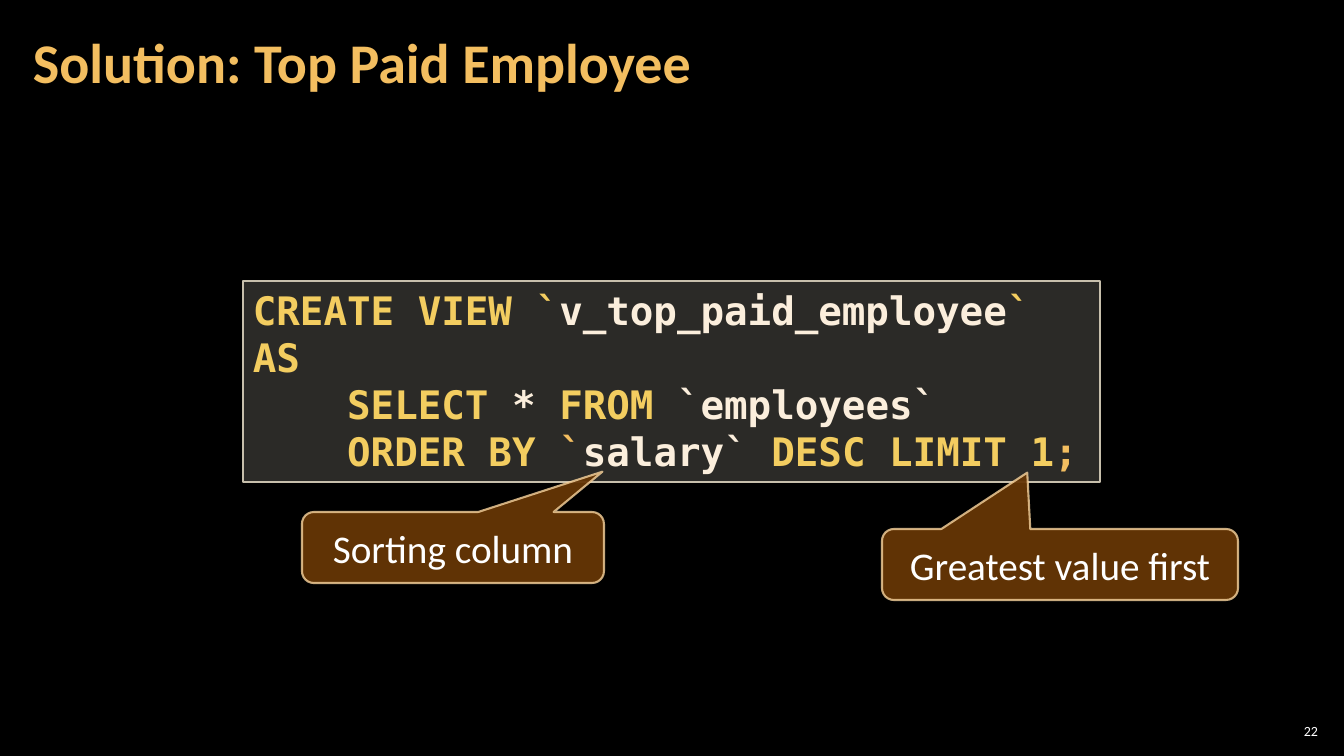
from lxml import etree
from pptx import Presentation
from pptx.dml.color import RGBColor as RGB
from pptx.enum.shapes import MSO_SHAPE as SHAPE
from pptx.enum.text import MSO_ANCHOR as ANCHOR, MSO_AUTO_SIZE as AUTO_SIZE, PP_ALIGN as ALIGN
from pptx.oxml.ns import qn
from pptx.util import Emu, Pt

THEME = {
    "background": "000000", "title": "F3BE60", "white": "FFFFFF",
    "keyword": "F3CD60", "name": "FBEEDC", "mark": "F3BE60",
    "code fill": "D9D5C7", "code line": "C7BFAC",
    "callout fill": "663606", "callout line": "F8D49E",
    "font": "Calibri", "code font": "DejaVu Sans Mono",
    "title size": 40, "text size": 28, "number size": 10,
}
PX = 914400 / 100.8


def box(*lengths):
    return [Emu(round(length * PX)) for length in lengths]


def paint(shape, fill, fill_alpha, line, line_width, line_alpha):
    shape.shadow.inherit = False
    shape.fill.solid()
    shape.line.width = Pt(line_width)
    for target, name, alpha in ((shape.fill, fill, fill_alpha),
                                (shape.line.fill, line, line_alpha)):
        target.solid()
        target.fore_color.rgb = RGB.from_string(THEME[name])
    properties = shape.element.spPr
    colors = (properties.find(qn("a:solidFill")), properties.find(qn("a:ln")))
    for parent, alpha in zip(colors, (fill_alpha, line_alpha)):
        color = next(parent.iter(qn("a:srgbClr")))
        etree.SubElement(color, qn("a:alpha")).set("val", str(alpha * 1000))


presentation = Presentation()
presentation.slide_width, presentation.slide_height = box(1344, 756)
slide = presentation.slides.add_slide(presentation.slide_layouts[5])
slide.background.fill.solid()
slide.background.fill.fore_color.rgb = RGB.from_string(THEME["background"])

# Slide number
number = slide.shapes.add_textbox(*box(1275, 720, 47, 21))
frame = number.text_frame
frame.text = "22"
frame.word_wrap = True
frame.vertical_anchor = ANCHOR.MIDDLE
frame.margin_left, frame.margin_top, frame.margin_right, frame.margin_bottom = box(4, 4, 4, 4)
paragraph = frame.paragraphs[0]
paragraph.alignment = ALIGN.RIGHT
font = paragraph.runs[0].font
font.name, font.size = THEME["font"], Pt(THEME["number size"])
font.color.rgb = RGB.from_string(THEME["white"])

# Title
title = slide.shapes.title
title.left, title.top, title.width, title.height = box(21, 4, 1055, 122)
frame = title.text_frame
frame.text = "Solution: Top Paid Employee"
frame.auto_size = AUTO_SIZE.NONE
frame.vertical_anchor = ANCHOR.MIDDLE
frame.margin_left, frame.margin_top, frame.margin_right, frame.margin_bottom = box(12, 4, 12, 4)
paragraph = frame.paragraphs[0]
paragraph.alignment = ALIGN.LEFT
paragraph.line_spacing = 0.9
font = paragraph.runs[0].font
font.name, font.size, font.bold = THEME["font"], Pt(THEME["title size"]), True
font.color.rgb = RGB.from_string(THEME["title"])

# SQL code
CODE = [
    [("CREATE VIEW `", "keyword"), ("v_top_paid_employee", "name"), ("`", "keyword")],
    [("AS", "keyword")],
    [("    SELECT ", "keyword"), ("* ", "name"), ("FROM", "keyword"), (" `employees`", "name")],
    [("    ORDER BY", "keyword"), (" `", "mark"), ("salary` ", "name"),
     ("DESC LIMIT 1", "keyword"), (";", "mark")],
]
code = slide.shapes.add_shape(SHAPE.RECTANGLE, *box(243, 281, 857, 201))
paint(code, "code fill", 20, "code line", 1, 100)
frame = code.text_frame
frame.word_wrap = True
frame.auto_size = AUTO_SIZE.SHAPE_TO_FIT_TEXT
frame.vertical_anchor = ANCHOR.TOP
for index, line in enumerate(CODE):
    paragraph = frame.add_paragraph() if index else frame.paragraphs[0]
    paragraph.alignment = ALIGN.LEFT
    for text, color in line:
        run = paragraph.add_run()
        run.text = text
        font = run.font
        font.name, font.size, font.bold = THEME["code font"], Pt(THEME["text size"]), True
        font.color.rgb = RGB.from_string(THEME[color])

# Callouts: text, place, pointer tip
CALLOUTS = [
    ("Greatest value first", (882, 529, 356, 71), (-0.092, -1.294)),
    ("Sorting column", (302, 512, 302, 71), (0.495, -1.068)),
]
for text, place, tip in CALLOUTS:
    callout = slide.shapes.add_shape(SHAPE.ROUNDED_RECTANGULAR_CALLOUT, *box(*place))
    callout.adjustments[0], callout.adjustments[1] = tip
    paint(callout, "callout fill", 95, "callout line", 1.5, 80)
    frame = callout.text_frame
    frame.text = text
    frame.word_wrap = True
    frame.vertical_anchor = ANCHOR.MIDDLE
    paragraph = frame.paragraphs[0]
    paragraph.alignment = ALIGN.CENTER
    font = paragraph.runs[0].font
    font.name, font.size = THEME["font"], Pt(THEME["text size"])
    font.color.rgb = RGB.from_string(THEME["white"])

presentation.save("out.pptx")
